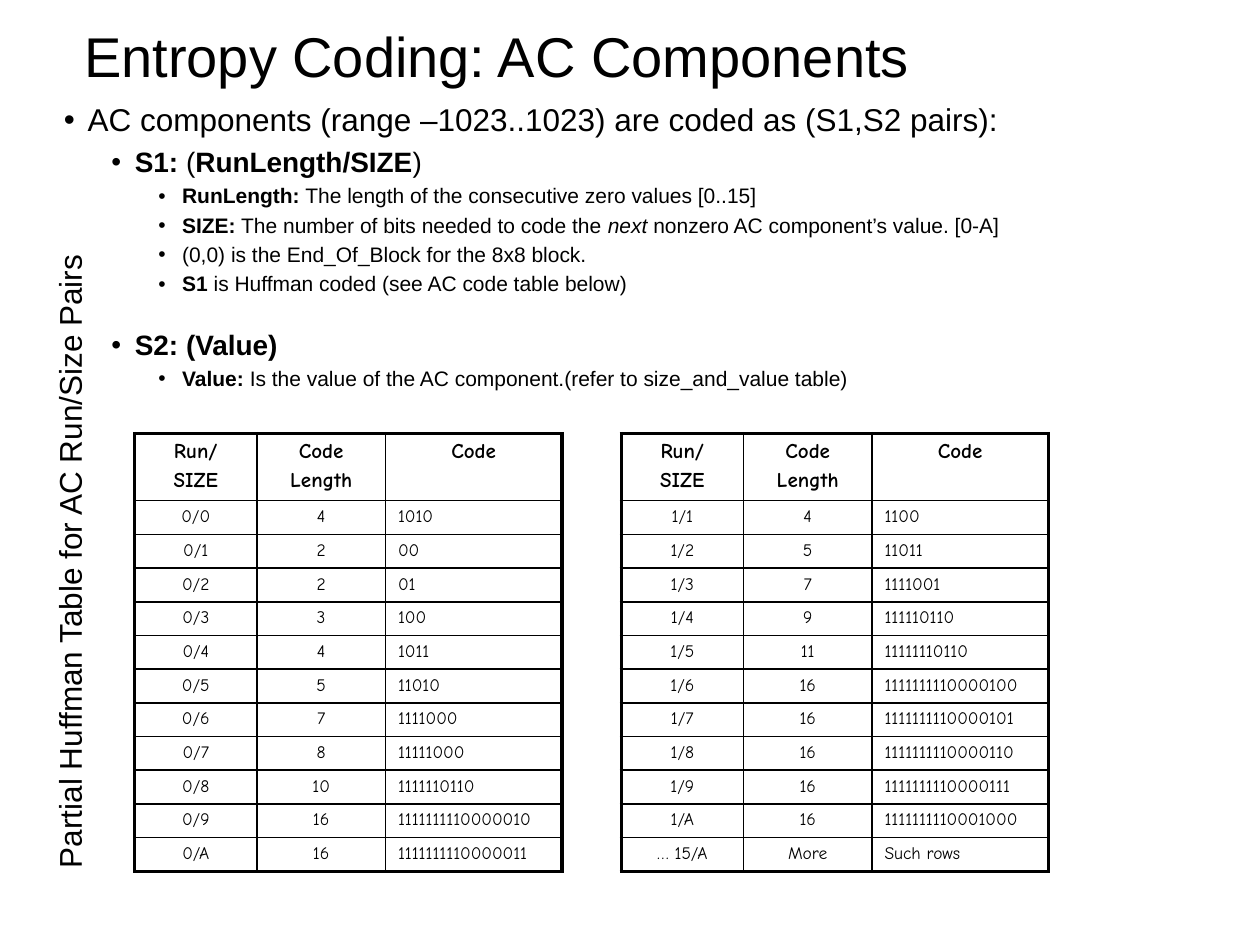
from lxml import etree
from pptx import Presentation
from pptx.dml.color import RGBColor
from pptx.enum import text
from pptx.oxml import ns
from pptx.util import Pt

BLACK = "000000"
BODY_FONT, TABLE_FONT = "Arial", "Comic Neue"
THIN, THICK = 1, 2.25

TITLE = "Entropy Coding: AC Components"
SIDE_LABEL = "Partial Huffman Table for AC Run/Size Pairs"

# (level, space before, runs); a run is (wording, style), b bold, i italic
POINTS = [
    (0, 0, [("AC components (range –1023..1023) are coded as (S1,S2 pairs):", "")]),
    (1, 5.5, [("S1: ", "b"), ("(", ""), ("RunLength/SIZE", "b"), (")", "")]),
    (2, 4.2, [("RunLength:", "b"),
              (" The length of the consecutive zero values [0..15]", "")]),
    (2, 3.8, [("SIZE:", "b"), (" The number of bits needed to code the ", ""),
              ("next", "i"), (" nonzero AC component’s value. [0-A]", "")]),
    (2, 3.8, [("(0,0) is the End_Of_Block for the 8x8 block.", "")]),
    (2, 3.8, [("S1", "b"), (" is Huffman coded (see AC code table below)", "")]),
    (1, 20, [("S2: (Value)", "b")]),
    (2, 3.8, [("Value:", "b"),
              (" Is the value of the AC component.(refer to size_and_value table)", "")]),
]
LEVEL_SIZES = [18, 16, 12]
LEVEL_INDENT, HANGING = 27, 13.5

HEADINGS = ("Run/\nSIZE", "Code\nLength", "Code")
ZERO_RUN_CODES = [
    ("0/0", "4", "1010"), ("0/1", "2", "00"), ("0/2", "2", "01"),
    ("0/3", "3", "100"), ("0/4", "4", "1011"), ("0/5", "5", "11010"),
    ("0/6", "7", "1111000"), ("0/7", "8", "11111000"),
    ("0/8", "10", "1111110110"), ("0/9", "16", "1111111110000010"),
    ("0/A", "16", "1111111110000011"),
]
ONE_RUN_CODES = [
    ("1/1", "4", "1100"), ("1/2", "5", "11011"), ("1/3", "7", "1111001"),
    ("1/4", "9", "111110110"), ("1/5", "11", "11111110110"),
    ("1/6", "16", "1111111110000100"), ("1/7", "16", "1111111110000101"),
    ("1/8", "16", "1111111110000110"), ("1/9", "16", "1111111110000111"),
    ("1/A", "16", "1111111110001000"), ("… 15/A", "More", "Such rows"),
]
CODE_TABLES = [(77, ZERO_RUN_CODES), (355, ONE_RUN_CODES)]
TABLE_TOP = 247.7
COLUMN_WIDTHS = (69.8, 73.5, 100.8)
HEADING_HEIGHT, ROW_HEIGHT = 36.9, 18.8


def colour(hex_value):
    return RGBColor.from_string(hex_value)


def set_font(paragraph, name, size, bold=False):
    font = paragraph.font
    font.name, font.size, font.bold = name, Pt(size), bold
    font.color.rgb = colour(BLACK)


def add_frame(slide, left, top, width, height):
    frame = slide.shapes.add_textbox(Pt(left), Pt(top), Pt(width), Pt(height)).text_frame
    frame.word_wrap = True
    return frame


def add_bullet(paragraph, level):
    props = paragraph._p.get_or_add_pPr()
    props.set("marL", str(Pt(HANGING + level * LEVEL_INDENT)))
    props.set("indent", str(-Pt(HANGING)))
    etree.SubElement(props, ns.qn("a:buFont")).set("typeface", BODY_FONT)
    etree.SubElement(props, ns.qn("a:buChar")).set("char", "•")


def set_borders(cell, **widths):
    props = cell._tc.get_or_add_tcPr()
    for side in "LRTB":
        line = etree.SubElement(props, ns.qn(f"a:ln{side}"), w=str(Pt(widths[side])))
        fill = etree.SubElement(line, ns.qn("a:solidFill"))
        etree.SubElement(fill, ns.qn("a:srgbClr"), val=BLACK)


def add_code_table(slide, left, codes):
    rows = [HEADINGS] + codes
    last_row, last_column = len(rows) - 1, len(HEADINGS) - 1
    heights = [HEADING_HEIGHT] + [ROW_HEIGHT] * len(codes)
    table = slide.shapes.add_table(
        len(rows), len(HEADINGS), Pt(left), Pt(TABLE_TOP),
        Pt(sum(COLUMN_WIDTHS)), Pt(sum(heights))).table
    table.horz_banding = table.first_row = False
    for column, width in zip(table.columns, COLUMN_WIDTHS):
        column.width = Pt(width)
    for r, values in enumerate(rows):
        table.rows[r].height = Pt(heights[r])
        heading = r == 0
        for c, value in enumerate(values):
            cell = table.cell(r, c)
            set_borders(cell,
                        L=THICK if c == 0 else THIN,
                        R=THICK if c == last_column else THIN,
                        T=THICK if heading else THIN,
                        B=THICK if r == last_row else THIN)
            cell.fill.background()
            cell.text = value
            for n, paragraph in enumerate(cell.text_frame.paragraphs):
                centred = heading or c < last_column
                paragraph.alignment = (text.PP_ALIGN.CENTER if centred
                                       else text.PP_ALIGN.LEFT)
                if n:
                    paragraph.space_before = Pt(2.4)
                set_font(paragraph, TABLE_FONT, 12 if heading else 10, heading)


def main():
    deck = Presentation()
    deck.slide_width, deck.slide_height = Pt(720), Pt(540)
    slide = deck.slides.add_slide(deck.slide_layouts[6])

    # Title
    title = add_frame(slide, 41, 11.5, 624, 44.6)
    title.vertical_anchor = text.MSO_ANCHOR.MIDDLE
    title.text = TITLE
    title.paragraphs[0].line_spacing = 0.9
    set_font(title.paragraphs[0], BODY_FONT, 32)

    # Bulleted explanation
    body = add_frame(slide, 29.5, 56.2, 633.6, 195.8)
    for n, (level, space, runs) in enumerate(POINTS):
        paragraph = body.add_paragraph() if n else body.paragraphs[0]
        paragraph.level = level
        add_bullet(paragraph, level)
        paragraph.line_spacing = 0.9
        if space:
            paragraph.space_before = Pt(space)
        set_font(paragraph, BODY_FONT, LEVEL_SIZES[level])
        for wording, style in runs:
            run = paragraph.add_run()
            run.text = wording
            if "b" in style:
                run.font.bold = True
            if "i" in style:
                run.font.italic = True

    # Huffman code tables
    for left, codes in CODE_TABLES:
        add_code_table(slide, left, codes)

    # Label reading upwards beside the tables
    label = add_frame(slide, 18, 100, 36, 403.2)
    label._txBody.bodyPr.set("vert", "vert270")
    label.vertical_anchor = text.MSO_ANCHOR.BOTTOM
    label.text = SIDE_LABEL
    set_font(label.paragraphs[0], BODY_FONT, 18)

    deck.save("out.pptx")


if __name__ == "__main__":
    main()
